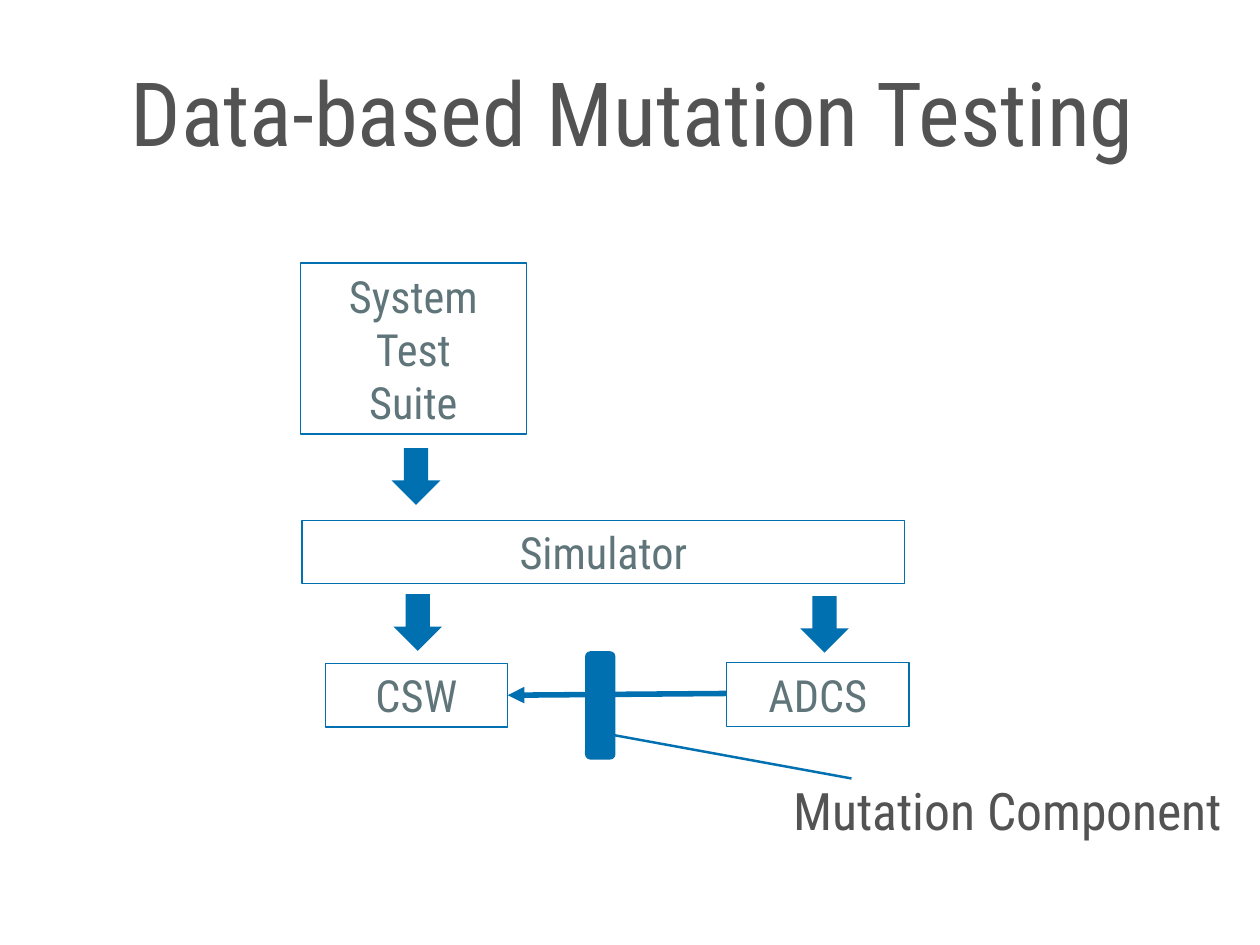
from dataclasses import dataclass

from lxml import etree
from pptx import Presentation
from pptx import util as u
from pptx.dml import color
from pptx.enum import shapes, text
from pptx.oxml import ns


@dataclass(frozen=True)
class Theme:
    """Colours, font and type sizes of the slide."""
    blue: str = "0070B1"
    white: str = "FFFFFF"
    slate: str = "5F7579"
    gray: str = "535353"
    font: str = "Roboto Condensed"
    title: int = 72
    label: int = 42
    body: int = 36


def rgb(code):
    """Turn a hex code into a colour."""
    return color.RGBColor.from_string(code)


def write(shape, words, *, size, ink, font, pad=0.06, wrap=True,
          anchor=text.MSO_ANCHOR.MIDDLE):
    """Put centred text in a shape, one paragraph a line."""
    frame = shape.text_frame
    frame.word_wrap = wrap
    frame.vertical_anchor = anchor
    frame.margin_left = frame.margin_right = u.Inches(pad)
    frame.margin_top = frame.margin_bottom = u.Inches(pad)
    frame.text = words
    for para in frame.paragraphs:
        para.alignment = text.PP_ALIGN.CENTER
        for run in para.runs:
            run.font.size = u.Pt(size)
            run.font.name = font
            run.font.color.rgb = rgb(ink)


class Board:
    """Holds the theme and the slide being drawn."""

    def __init__(self, slide, theme):
        """Keep the slide and its theme."""
        self.slide = slide
        self.theme = theme

    def shape(self, kind, place, fill, line=None):
        """Add a flat preset shape at left, top, width, height."""
        item = self.slide.shapes.add_shape(kind, *map(u.Inches, place))
        item.shadow.inherit = False
        item.fill.solid()
        item.fill.fore_color.rgb = rgb(fill)
        if line:
            item.line.color.rgb = rgb(line)
            item.line.width = u.Pt(1)
        else:
            item.line.fill.background()
        return item

    def box(self, words, *place):
        """Add an outlined box with a name in it."""
        look = self.theme
        item = self.shape(shapes.MSO_SHAPE.RECTANGLE, place, look.white, look.blue)
        write(item, words, size=look.body, ink=look.slate, font=look.font)

    def arrow(self, left, top):
        """Add a block arrow that points down."""
        self.shape(shapes.MSO_SHAPE.DOWN_ARROW, (left, top, 0.55, 0.64),
                   self.theme.blue)

    def bar(self, *place):
        """Add a rounded solid bar."""
        blue = self.theme.blue
        self.shape(shapes.MSO_SHAPE.ROUNDED_RECTANGLE, place, blue, blue)

    def line(self, start, end, width, head=False):
        """Add a straight line, with an arrowhead at its end if asked."""
        item = self.slide.shapes.add_connector(
            shapes.MSO_CONNECTOR.STRAIGHT, *map(u.Inches, (*start, *end)))
        item.line.color.rgb = rgb(self.theme.blue)
        item.line.width = u.Pt(width)
        if head:
            edge = item.line._get_or_add_ln()
            etree.SubElement(edge, ns.qn("a:tailEnd"), type="triangle")
        etree.SubElement(item._element.spPr, ns.qn("a:effectLst"))

    def note(self, words, *place, size, **form):
        """Add a plain text box."""
        item = self.slide.shapes.add_textbox(*map(u.Inches, place))
        write(item, words, size=size, ink=self.theme.gray,
              font=self.theme.font, **form)


def main():
    """Draw the slide and save it."""
    deck = Presentation()
    deck.slide_width, deck.slide_height = u.Inches(14.22), u.Inches(10.67)
    theme = Theme()
    board = Board(deck.slides.add_slide(deck.slide_layouts[6]), theme)

    board.note("Data-based Mutation Testing", 0.42, 0.6, 13.44, 2.67,
               size=theme.title, pad=0.05, anchor=text.MSO_ANCHOR.TOP)

    board.box("CSW", 3.67, 7.49, 2.06, 0.72)
    board.box("ADCS", 8.2, 7.48, 2.06, 0.72)
    board.line((8.2, 7.83), (5.73, 7.85), 4.5, head=True)
    board.box("System\nTest\nSuite", 3.39, 2.97, 2.55, 1.93)
    board.box("Simulator", 3.41, 5.88, 6.8, 0.71)
    for spot in ((4.42, 5.06), (4.44, 6.71), (9.03, 6.73)):
        board.arrow(*spot)

    board.bar(6.61, 7.36, 0.33, 1.21)
    board.line((6.76, 8.27), (9.61, 8.79), 2)
    board.note("Mutation Component", 8.88, 8.73, 4.99, 0.82,
               size=theme.label, wrap=False)
    deck.save("out.pptx")


main()
